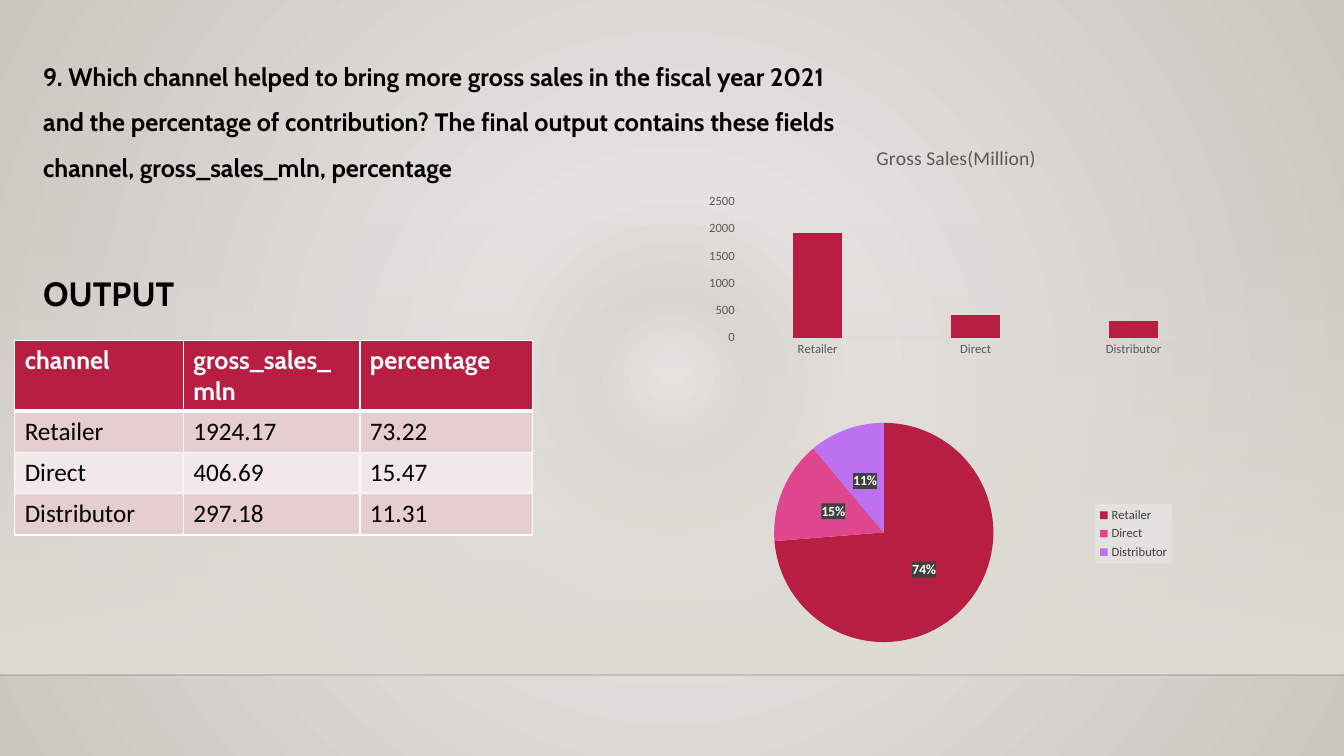
from pptx import Presentation
from pptx import util as u
from pptx.chart.data import CategoryChartData
from pptx.dml.color import RGBColor
from pptx.enum import chart as ch, shapes, text
from pptx.oxml import parse_xml
from pptx.oxml.ns import nsdecls, qn

Cm, Pt = u.Cm, u.Pt

CRIMSON = RGBColor(0xB7, 0x1E, 0x42)
PINK = RGBColor(0xDE, 0x47, 0x8E)
VIOLET = RGBColor(0xBC, 0x72, 0xF0)
ROSE = RGBColor(0xE6, 0xCD, 0xCF)
PALE_ROSE = RGBColor(0xF3, 0xE8, 0xE9)
BLACK = RGBColor(0, 0, 0)
WHITE = RGBColor(0xFF, 0xFF, 0xFF)
DARK_GREY = RGBColor(0x40, 0x40, 0x40)
GREY = RGBColor(0x59, 0x59, 0x59)
AXIS_GREY = RGBColor(0xD9, 0xD9, 0xD9)
MIST = RGBColor(0xF2, 0xF2, 0xF2)
STONE = RGBColor(0xDF, 0xDB, 0xD5)
BACKDROP = [(0, RGBColor(0xEC, 0xEA, 0xE7)), (10, RGBColor(0xD9, 0xD6, 0xD2)),
            (25, RGBColor(0xE4, 0xE1, 0xDE)), (100, RGBColor(0xCA, 0xC7, 0xC1))]

CHANNELS = ["Retailer", "Direct", "Distributor"]
ROWS = [["channel", "gross_sales_mln", "percentage"],
        ["Retailer", "1924.17", "73.22"],
        ["Direct", "406.69", "15.47"],
        ["Distributor", "297.18", "11.31"]]
QUESTION = ("9. Which channel helped to bring more gross sales in the fiscal year 2021 "
            "and the percentage of contribution? The final output contains these fields "
            "channel, gross_sales_mln, percentage")


def color_xml(color, alpha=100):
    return f'<a:srgbClr val="{color}"><a:alpha val="{alpha * 1000}"/></a:srgbClr>'


def gradient_xml(stops, direction):
    marks = "".join(f'<a:gs pos="{pos * 1000}">{color_xml(*color)}</a:gs>'
                    for pos, *color in stops)
    return f'<a:gradFill {nsdecls("a")}><a:gsLst>{marks}</a:gsLst>{direction}</a:gradFill>'


def set_font(font, size, color, name="Calibri", bold=False):
    font.size, font.name, font.bold = Pt(size), name, bold
    font.color.rgb = color


def set_layout(parent, index, x, y, w, h, inner=False):
    """Place a chart part by fractions of the chart's size."""
    for old in parent.findall(qn("c:layout")):
        parent.remove(old)
    target = '<c:layoutTarget val="inner"/>' if inner else ""
    parent.insert(index, parse_xml(
        f'<c:layout {nsdecls("c")}><c:manualLayout>{target}'
        '<c:xMode val="edge"/><c:yMode val="edge"/>'
        f'<c:x val="{x}"/><c:y val="{y}"/><c:w val="{w}"/><c:h val="{h}"/>'
        '</c:manualLayout></c:layout>'))


def fill_behind_text(element, color, alpha):
    element.find(qn("c:txPr")).addprevious(parse_xml(
        f'<c:spPr {nsdecls("c", "a")}><a:solidFill>{color_xml(color, alpha)}'
        '</a:solidFill></c:spPr>'))


def add_backdrop(slide, box):
    x, y, w, h = box
    # Radial background
    slide.background.fill.solid()
    bg = slide.background.fill._xPr
    bg.replace(bg.find(qn("a:solidFill")), parse_xml(gradient_xml(
        BACKDROP, '<a:path path="circle"><a:fillToRect l="50000" t="50000" '
                  'r="50000" b="50000"/></a:path>')))
    # Band fading in towards the floor line
    sp = slide.shapes.add_shape(shapes.MSO_SHAPE.RECTANGLE, x, y, w, h)
    sp.shadow.inherit = False
    sp.line.fill.background()
    sp.fill.solid()
    props = sp._element.spPr
    props.replace(props.find(qn("a:solidFill")), parse_xml(gradient_xml(
        [(0, STONE, 0), (100, STONE)], '<a:lin ang="5400000" scaled="0"/>')))
    # Floor line
    line = slide.shapes.add_connector(shapes.MSO_CONNECTOR.STRAIGHT, x, y + h, x + w, y + h)
    line.line.width = Pt(1)
    line.line.color.rgb = BLACK
    props = line._element.spPr
    color = props.find(".//" + qn("a:srgbClr"))
    color.append(parse_xml(f'<a:alpha {nsdecls("a")} val="20000"/>'))
    props.append(parse_xml(f'<a:effectLst {nsdecls("a")}/>'))


def add_heading(slide, box, words, size, spacing=1.0):
    tf = slide.shapes.add_textbox(*box).text_frame
    tf.word_wrap = True
    tf.auto_size = text.MSO_AUTO_SIZE.SHAPE_TO_FIT_TEXT
    p = tf.paragraphs[0]
    p.text, p.line_spacing = words, spacing
    set_font(p.font, size, BLACK, "Cabin", True)


def add_border(cell, side, width):
    props = cell._tc.get_or_add_tcPr()
    index = len([e for e in props if e.tag.startswith(qn("a:ln"))])
    props.insert(index, parse_xml(
        f'<a:ln{side} {nsdecls("a")} w="{Pt(width)}"><a:solidFill>'
        f'{color_xml(WHITE)}</a:solidFill></a:ln{side}>'))


def add_output_table(slide, box):
    x, y, w, h = box
    table = slide.shapes.add_table(len(ROWS), len(ROWS[0]), x, y, w, h).table
    for column, width in zip(table.columns, (4.25, 4.45, 4.35)):
        column.width = Cm(width)
    body_height = Cm(1.04)
    for i, words in enumerate(ROWS):
        header = i == 0
        table.rows[i].height = h - body_height * (len(ROWS) - 1) if header else body_height
        for j, word in enumerate(words):
            cell = table.cell(i, j)
            cell.text = word
            cell.fill.solid()
            cell.fill.fore_color.rgb = CRIMSON if header else ROSE if i % 2 else PALE_ROSE
            cell.vertical_anchor = text.MSO_ANCHOR.TOP if header else text.MSO_ANCHOR.MIDDLE
            set_font(cell.text_frame.paragraphs[0].font, 18, WHITE if header else BLACK,
                     "Cabin" if header else "Calibri", header)
            for side in "LRTB":
                heavy = (header and side == "B") or (i == 1 and side == "T")
                add_border(cell, side, 3 if heavy else 1)


def add_channel_chart(slide, box, kind, values):
    data = CategoryChartData()
    data.categories = CHANNELS
    data.add_series("Series 1", values)
    chart = slide.shapes.add_chart(kind, *box, data).chart
    set_font(chart.font, 10, BLACK)
    return chart


def add_sales_chart(slide, box):
    chart = add_channel_chart(slide, box, ch.XL_CHART_TYPE.COLUMN_CLUSTERED, [1920, 410, 300])
    chart.has_legend = False
    p = chart.chart_title.text_frame.paragraphs[0]
    p.text = "Gross Sales(Million)"
    set_font(p.font, 14, GREY)
    plot = chart.plots[0]
    plot.gap_width, plot.overlap, plot.vary_by_categories = 219, -27, False
    fill = plot.series[0].format.fill
    fill.solid()
    fill.fore_color.rgb = CRIMSON
    for axis in (chart.category_axis, chart.value_axis):
        axis.major_tick_mark = axis.minor_tick_mark = ch.XL_TICK_MARK.NONE
        axis.has_major_gridlines = False
        set_font(axis.tick_labels.font, 9, GREY)
    chart.category_axis.format.line.color.rgb = AXIS_GREY
    chart.category_axis.format.line.width = Pt(0.75)
    values = chart.value_axis
    values.format.line.fill.background()
    values.minimum_scale, values.maximum_scale, values.major_unit = 0, 2500, 500
    set_layout(chart._chartSpace.chart.plotArea, 0, 0.11, 0.3, 0.85, 0.58, inner=True)


def add_share_chart(slide, box):
    chart = add_channel_chart(slide, box, ch.XL_CHART_TYPE.PIE, [73, 15, 11])
    chart.has_title = False
    plot = chart.plots[0]
    for i, color in enumerate((CRIMSON, PINK, VIOLET)):
        fill = plot.series[0].points[i].format.fill
        fill.solid()
        fill.fore_color.rgb = color
    # Percentages on dark plates
    labels = plot.series[0].data_labels
    labels.show_percentage, labels.show_value = True, False
    labels.position = ch.XL_LABEL_POSITION.CENTER
    set_font(labels.font, 10, WHITE, bold=True)
    fill_behind_text(labels._element, DARK_GREY, 90)
    # Legend on a light plate
    chart.has_legend = True
    legend = chart.legend
    legend.position = ch.XL_LEGEND_POSITION.RIGHT
    legend.include_in_layout = False
    set_font(legend.font, 9, DARK_GREY)
    fill_behind_text(legend._element, MIST, 39)
    set_layout(legend._element, 1, 0.83, 0.38, 0.15, 0.24)
    set_layout(chart._chartSpace.chart.plotArea, 0, 0.2, 0.05, 0.43, 0.89, inner=True)


def main():
    prs = Presentation()
    prs.slide_width, prs.slide_height = Cm(33.87), Cm(19.05)
    slide = prs.slides.add_slide(prs.slide_layouts[6])
    add_backdrop(slide, (0, Cm(5.61), prs.slide_width, Cm(11.4)))
    add_heading(slide, (Cm(0.84), Cm(1.04), Cm(20.8), Cm(3.61)), QUESTION, 18, 1.5)
    add_heading(slide, (Cm(0.84), Cm(6.76), Cm(4.17), Cm(1.27)), "OUTPUT", 24)
    add_output_table(slide, (Cm(0.37), Cm(8.58), Cm(13.05), Cm(4.88)))
    add_sales_chart(slide, (Cm(17.07), Cm(3.3), Cm(14.05), Cm(5.92)))
    add_share_chart(slide, (Cm(16.94), Cm(10.34), Cm(12.85), Cm(6.22)))
    prs.save("out.pptx")


if __name__ == "__main__":
    main()
